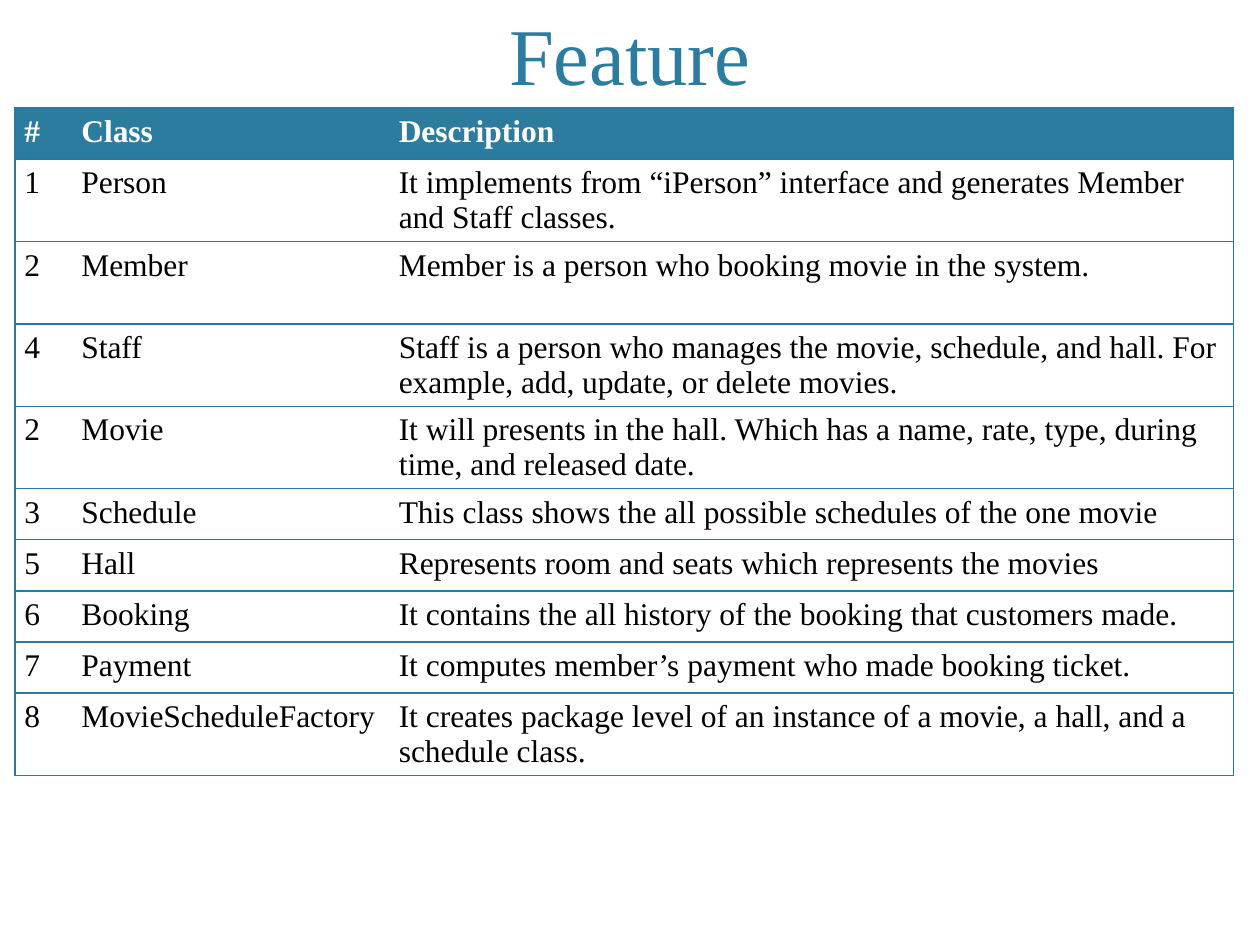
from lxml import etree
from pptx import Presentation
from pptx.dml.color import RGBColor
from pptx.enum.text import MSO_ANCHOR, PP_ALIGN
from pptx.oxml.ns import qn
from pptx.util import Cm, Pt

CENTER = PP_ALIGN.CENTER
BOTTOM = MSO_ANCHOR.BOTTOM
FONT = "Times New Roman"
COLORS = {"accent": "2C7C9F", "border": "287A9E", "header": "FFFFFF", "body": "000000"}

COLUMN_WIDTHS = (1.15, 6.4, 17.02)
SHORT_ROW, TALL_ROW = 1.03, 1.66
TALL_ROWS = {1, 2, 3, 4, 9}
FEATURES = [
    ("#", "Class", "Description"),
    ("1", "Person", "It implements from “iPerson” interface and generates Member and Staff classes."),
    ("2", "Member", "Member is a person who booking movie in the system."),
    ("4", "Staff", "Staff is a person who manages the movie, schedule, and hall. "
                   "For example, add, update, or delete movies."),
    ("2", "Movie", "It will presents in the hall. Which has a name, rate, type, "
                   "during time, and released date."),
    ("3", "Schedule", "This class shows the all possible schedules of the one movie"),
    ("5", "Hall", "Represents room and seats which represents the movies"),
    ("6", "Booking", "It contains the all history of the booking that customers made."),
    ("7", "Payment", "It computes member’s payment who made booking ticket."),
    ("8", "MovieScheduleFactory", "It creates package level of an instance of a movie, "
                                  "a hall, and a schedule class."),
]


def style_text(paragraph, size, color, bold=False):
    for run in paragraph.runs:
        run.font.name = FONT
        run.font.size = Pt(size)
        run.font.bold = bold
        run.font.color.rgb = RGBColor.from_string(COLORS[color])


def set_borders(cell, visible_sides):
    properties = cell._tc.get_or_add_tcPr()
    for side in "LRTB":
        line = etree.SubElement(properties, qn(f"a:ln{side}"), w=str(Pt(1)))
        if side in visible_sides:
            fill = etree.SubElement(line, qn("a:solidFill"))
            etree.SubElement(fill, qn("a:srgbClr"), val=COLORS["border"])
        else:
            etree.SubElement(line, qn("a:noFill"))


def add_title(slide, left, top, width, height):
    title = slide.shapes.add_textbox(Cm(left), Cm(top), Cm(width), Cm(height)).text_frame
    title.word_wrap = True
    title.vertical_anchor = BOTTOM
    title.text = "Feature"
    title.paragraphs[0].alignment = CENTER
    style_text(title.paragraphs[0], 46, "accent")


def fill_cell(cell, text, is_header, visible_sides):
    cell.text = text
    cell.margin_left = cell.margin_right = Cm(0.19)
    cell.margin_top = Cm(0.13)
    cell.margin_bottom = Cm(0)
    style_text(cell.text_frame.paragraphs[0], 18, "header" if is_header else "body", is_header)
    set_borders(cell, visible_sides)
    if is_header:
        cell.fill.solid()
        cell.fill.fore_color.rgb = RGBColor.from_string(COLORS["accent"])
    else:
        cell.fill.background()


def add_feature_table(slide, left, top):
    heights = [TALL_ROW if row in TALL_ROWS else SHORT_ROW for row in range(len(FEATURES))]
    table = slide.shapes.add_table(
        len(FEATURES), len(COLUMN_WIDTHS),
        Cm(left), Cm(top), Cm(sum(COLUMN_WIDTHS)), Cm(sum(heights)),
    ).table
    table.horz_banding = False
    for column, width in zip(table.columns, COLUMN_WIDTHS):
        column.width = Cm(width)
    outer_sides = {0: "L", len(COLUMN_WIDTHS) - 1: "R"}
    for row, (height, feature) in enumerate(zip(heights, FEATURES)):
        table.rows[row].height = Cm(height)
        for column, text in enumerate(feature):
            sides = "TB" + outer_sides.get(column, "")
            fill_cell(table.cell(row, column), text, row == 0, sides)


def main():
    presentation = Presentation()
    presentation.slide_width = Cm(25.4)
    presentation.slide_height = Cm(19.05)
    slide = presentation.slides.add_slide(presentation.slide_layouts[6])
    add_title(slide, 1.52, 0.3, 22.35, 1.88)
    add_feature_table(slide, 0.3, 2.18)
    presentation.save("out.pptx")


if __name__ == "__main__":
    main()
